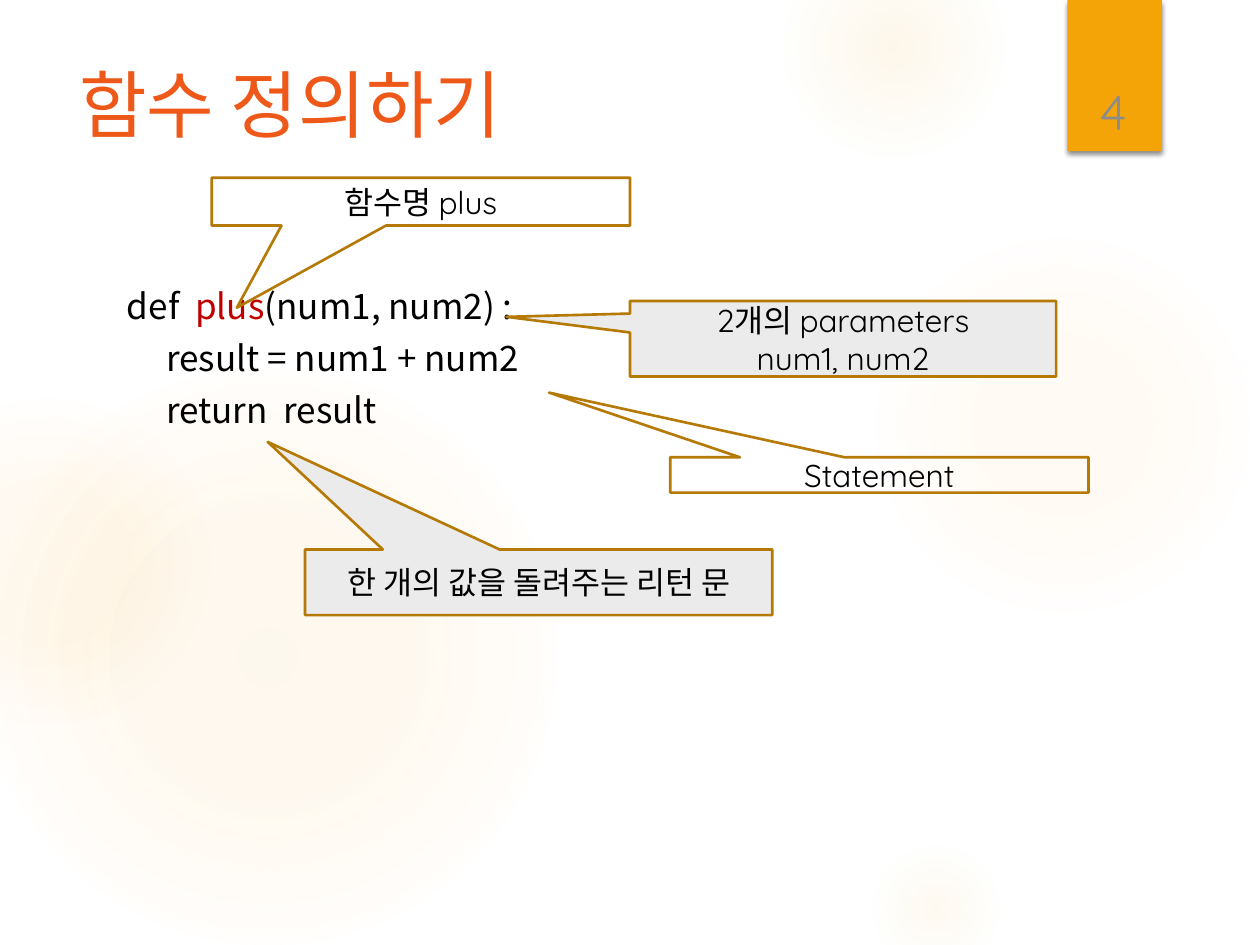
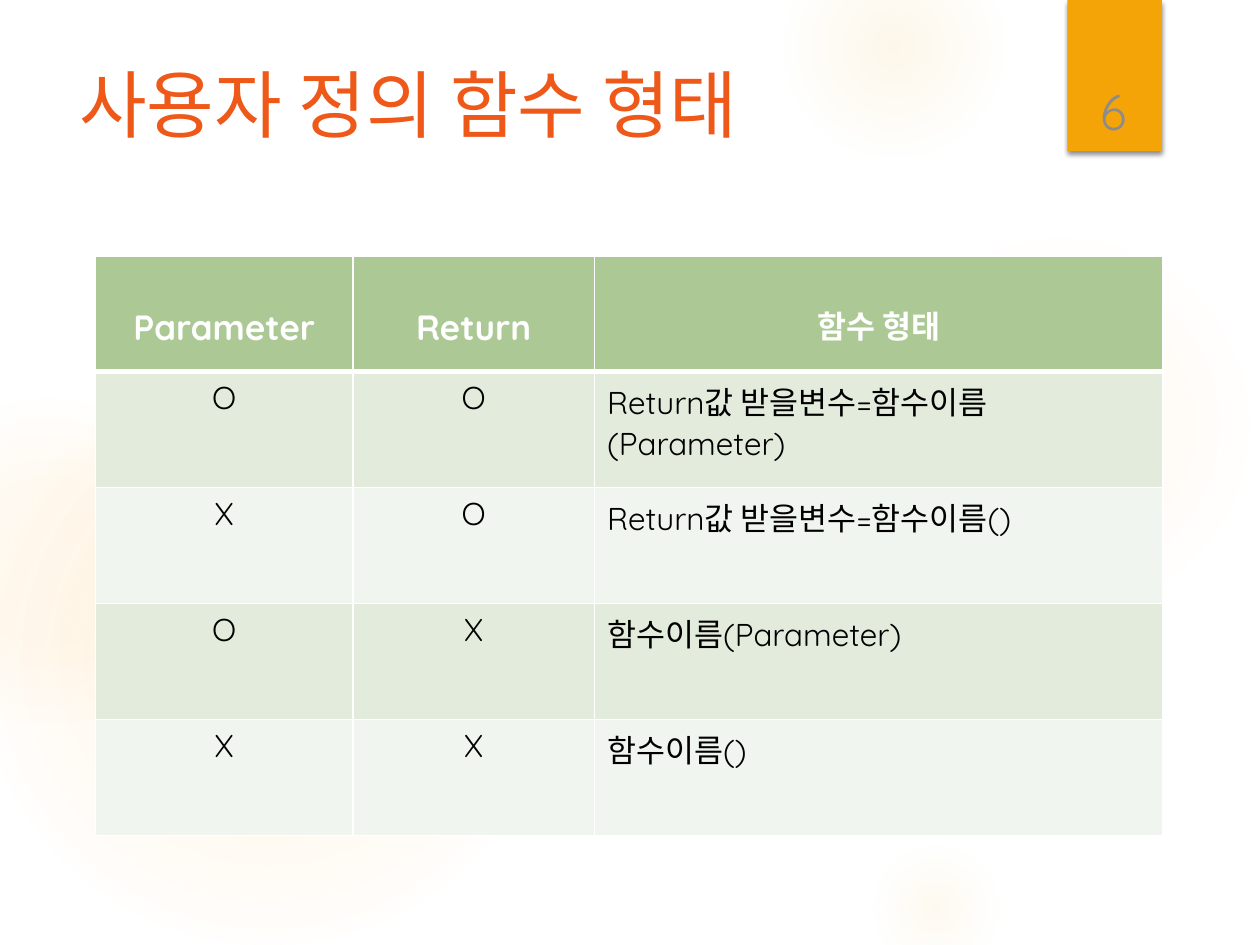
"""Build two slides on defining Python functions and the forms they take."""
from pptx import Presentation
from pptx.dml.color import RGBColor
from pptx.enum.shapes import MSO_SHAPE as SHAPE
from pptx.enum.text import MSO_ANCHOR as ANCHOR, PP_ALIGN as ALIGN
from pptx.oxml import parse_xml
from pptx.oxml.ns import nsdecls, qn
from pptx.util import Pt

KOREAN, LATIN = "Noto Sans CJK KR", "Quicksand"
ORANGE, GOLD, GLOW, GRAY = "EE5818", "F5A408", "FAC96A", "8C8C8C"
BLACK, WHITE, RED = "000000", "FFFFFF", "C00000"
CALLOUT_FILL, CALLOUT_LINE = "EBEBEB", "B57906"
HEADER, BANDS = "ACC995", ("E3EBDD", "F1F5EF")

TITLE_FMT = dict(size=42, name=KOREAN, color=ORANGE)
CODE_FMT = dict(size=20, name=KOREAN, color=BLACK)
LABEL_FMT = dict(size=18, name=LATIN, color=BLACK)
NUMBER_FMT = dict(size=28, name=LATIN, color=GRAY)
HEADER_FMT = dict(name=LATIN, color=WHITE, bold=True)

# left, top, diameter, then (position, opacity) stops in percent
HALOS = [
    (496, 132, 222, [(0, 7), (36, 6), (69, 0)]),
    (448, -36, 126, [(0, 14), (36, 7), (73, 0)]),
    (496, 480, 78, [(0, 10), (31, 5), (66, 0)]),
    (-12, 210, 330, [(0, 11), (36, 10), (75, 0)]),
    (-66, 228, 186, [(0, 8), (36, 8), (72, 0)]),
]
BAND_BOX = (610, 0, 54, 86.4)
TITLE_BOX = (38.2, 36, 528.5, 110)
NUMBER_BOX = (611.3, 23, 49.7, 60.5)

DEFINE_TITLE, DEFINE_NUMBER = "함수 정의하기", "4"
CODE_BOX = (65.5, 162, 528.5, 330.5)
CODE = [
    [("def  ", BLACK), ("plus", RED), ("(num1, num2) :", BLACK)],
    [("     result = num1 + num2", BLACK)],
    [("     return  result", BLACK)],
]
CALLOUTS = [
    (["2개의 parameters", "num1, num2"], (360, 172, 243.5, 43.2), (-0.79, -0.29), CALLOUT_FILL),
    (["Statement"], (383, 261.3, 239, 20.2), (-0.79, -2.33), None),
    (["한 개의 값을 돌려주는 리턴 문"], (174.3, 314, 267, 37.5), (-0.58, -2.14), CALLOUT_FILL),
    (["함수명 plus"], (121, 101.6, 239, 27.3), (-0.44, 2.22), None),
]

FORMS_TITLE, FORMS_NUMBER = "사용자 정의 함수 형태", "6"
FORMS_LEFT, FORMS_TOP, ROW_HEIGHT = 54.7, 146.2, 66.25
COLUMNS = [("Parameter", 146.9, 20), ("Return", 138.2, 20), ("함수 형태", 324.7, 18)]
FORMS = [
    ("O", "O", "Return값 받을변수=함수이름(Parameter)"),
    ("X", "O", "Return값 받을변수=함수이름()"),
    ("O", "X", "함수이름(Parameter)"),
    ("X", "X", "함수이름()"),
]


def rgb(value):
    return RGBColor.from_string(value)


def pts(box):
    return [Pt(v) for v in box]


def xml(tag, attrs="", inner=""):
    return parse_xml(f"<a:{tag} {nsdecls('a')} {attrs}>{inner}</a:{tag}>")


def color_xml(value, opacity=100):
    return f'<a:srgbClr val="{value}"><a:alpha val="{opacity * 1000}"/></a:srgbClr>'


def add_run(p, text, fmt):
    r = p.add_run()
    r.text = text
    for key, value in fmt.items():
        if key == "color":
            r.font.color.rgb = rgb(value)
        else:
            setattr(r.font, key, Pt(value) if key == "size" else value)
    r.font._element.find(qn("a:latin")).addnext(xml("ea", f'typeface="{KOREAN}"'))


def write(tf, paragraphs, fmt, **layout):
    for i, runs in enumerate(paragraphs):
        p = tf.paragraphs[0] if i == 0 else tf.add_paragraph()
        for key, value in layout.items():
            if i or key != "space_before":
                setattr(p, key, value)
        for text, color in runs:
            add_run(p, text, {**fmt, "color": color})


def add_text(s, box, paragraphs, fmt, anchor=ANCHOR.TOP, **layout):
    tf = s.shapes.add_textbox(*pts(box)).text_frame
    tf.word_wrap = True
    tf.vertical_anchor = anchor
    write(tf, paragraphs, fmt, **layout)


def add_shape(s, kind, box, fill=None, line=None):
    sp = s.shapes.add_shape(kind, *pts(box))
    sp.shadow.inherit = False
    if fill:
        sp.fill.solid()
        sp.fill.fore_color.rgb = rgb(fill)
    else:
        sp.fill.background()
    if line:
        sp.line.color.rgb = rgb(line)
        sp.line.width = Pt(1.5)
    else:
        sp.line.fill.background()
    return sp


def add_halo(s, left, top, size, stops):
    sp = add_shape(s, SHAPE.OVAL, (left, top, size, size))
    stops_xml = "".join(f'<a:gs pos="{pos * 1000}">{color_xml(GLOW, opacity)}</a:gs>'
                        for pos, opacity in stops)
    center = '<a:fillToRect l="50000" t="50000" r="50000" b="50000"/>'
    gradient = xml("gradFill", 'rotWithShape="1"',
                   f'<a:gsLst>{stops_xml}</a:gsLst><a:path path="circle">{center}</a:path>')
    spPr = sp._element.spPr
    spPr.replace(spPr.find(qn("a:noFill")), gradient)


def add_slide(prs, title, number):
    s = prs.slides.add_slide(prs.slide_layouts[6])
    for halo in HALOS:
        add_halo(s, *halo)
    band = add_shape(s, SHAPE.RECTANGLE, BAND_BOX, GOLD)
    shadow = xml("outerShdw", f'blurRad="{Pt(3)}" dist="{Pt(2)}" dir="5400000" rotWithShape="0"',
                 color_xml(BLACK, 45))
    band._element.spPr.find(qn("a:effectLst")).append(shadow)
    add_text(s, TITLE_BOX, [[(title, ORANGE)]], TITLE_FMT, line_spacing=0.9)
    add_text(s, NUMBER_BOX, [[(number, GRAY)]], NUMBER_FMT, ANCHOR.BOTTOM, alignment=ALIGN.CENTER)
    return s


def add_callout(s, lines, box, tip, fill):
    sp = add_shape(s, SHAPE.RECTANGULAR_CALLOUT, box, fill, CALLOUT_LINE)
    for i, value in enumerate(tip):
        sp.adjustments[i] = value
    tf = sp.text_frame
    tf.word_wrap = True
    tf.vertical_anchor = ANCHOR.MIDDLE
    write(tf, [[(line, BLACK)] for line in lines], LABEL_FMT, alignment=ALIGN.CENTER)


def style_cell(cell, text, fmt, fill, align, top_width=1, bottom_width=1):
    cell.fill.solid()
    cell.fill.fore_color.rgb = rgb(fill)
    widths = dict(lnL=1, lnR=1, lnT=top_width, lnB=bottom_width)
    for i, (tag, width) in enumerate(widths.items()):
        border = xml(tag, f'w="{Pt(width)}"', f"<a:solidFill>{color_xml(WHITE)}</a:solidFill>")
        cell._tc.get_or_add_tcPr().insert(i, border)
    write(cell.text_frame, [[(text, fmt["color"])]], fmt, alignment=align)


def add_forms_table(s):
    width = sum(w for _, w, _ in COLUMNS)
    rows = len(FORMS) + 1
    box = (FORMS_LEFT, FORMS_TOP, width, rows * ROW_HEIGHT)
    table = s.shapes.add_table(rows, len(COLUMNS), *pts(box)).table
    table.first_row = table.horz_banding = False
    for row in table.rows:
        row.height = Pt(ROW_HEIGHT)
    for c, (heading, col_width, size) in enumerate(COLUMNS):
        table.columns[c].width = Pt(col_width)
        head = table.cell(0, c)
        style_cell(head, heading, {**HEADER_FMT, "size": size}, HEADER, ALIGN.CENTER, bottom_width=3)
        head.margin_top = Pt(3.6 + 1.25 * size)
        align = ALIGN.LEFT if c == len(COLUMNS) - 1 else ALIGN.CENTER
        for r, form in enumerate(FORMS):
            style_cell(table.cell(r + 1, c), form[c], LABEL_FMT, BANDS[r % 2], align,
                       top_width=1 if r else 3)


def main():
    prs = Presentation()
    prs.slide_width, prs.slide_height = Pt(720), Pt(540)

    s = add_slide(prs, DEFINE_TITLE, DEFINE_NUMBER)
    add_text(s, CODE_BOX, CODE, CODE_FMT, line_spacing=0.9, space_before=Pt(8))
    for callout in CALLOUTS:
        add_callout(s, *callout)

    s = add_slide(prs, FORMS_TITLE, FORMS_NUMBER)
    add_forms_table(s)

    prs.save("out.pptx")


if __name__ == "__main__":
    main()
